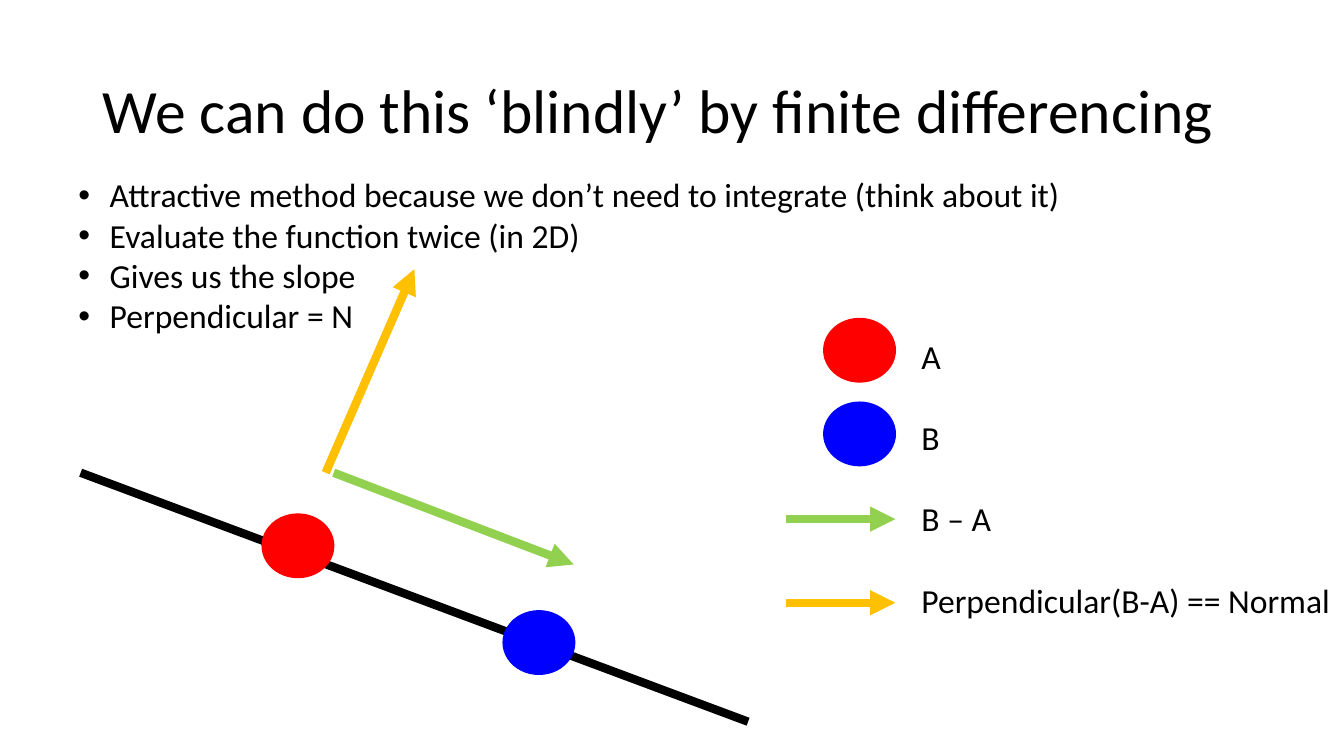
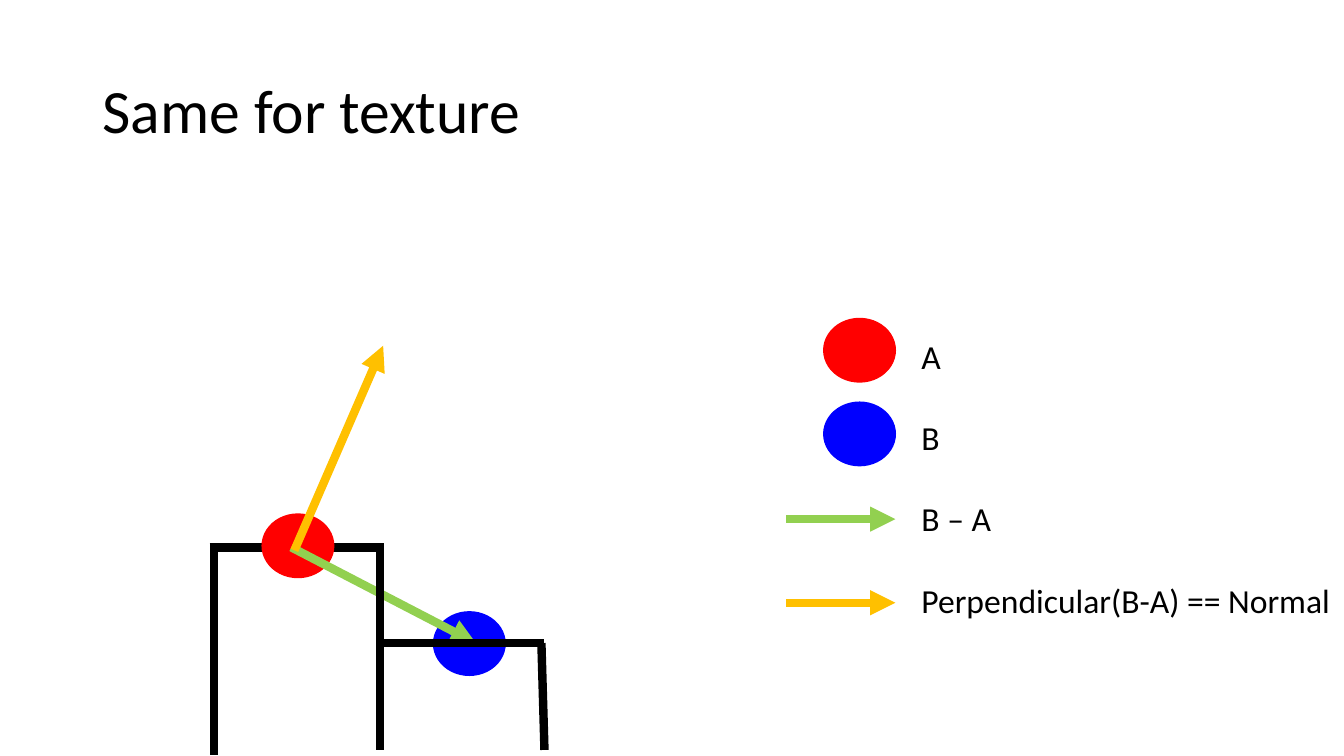
import pptx
import pptx.util
import pptx.dml.color
import pptx.enum.shapes
import pptx.enum.text
import pptx.oxml.ns
import lxml.etree

Inches = pptx.util.Inches
Pt = pptx.util.Pt
RGBColor = pptx.dml.color.RGBColor
qn = pptx.oxml.ns.qn

COLORS = {
    "ink": "000000",
    "a": "FF0000",
    "b": "0000FF",
    "difference": "92D050",
    "normal": "FFC000",
}
FONT = "Calibri"
BALL_W, BALL_H = 0.71, 0.63
ARROWS = ("difference", "normal")

LEGEND_TEXT = ["A", "B", "B – A", "Perpendicular(B-A) == Normal"]
LEGEND_MARKS = [
    ("a", 8.17, 3.16),
    ("b", 8.17, 3.99),
    ("difference", 7.8, 5.15, 8.88, 5.15),
    ("normal", 7.8, 5.98, 8.88, 5.98),
]

SLIDES = [
    {
        "title": "We can do this ‘blindly’ by finite differencing",
        "bullets": [
            "Attractive method because we don’t need to integrate (think about it)",
            "Evaluate the function twice (in 2D)",
            "Gives us the slope",
            "Perpendicular = N",
        ],
        "marks": [
            ("ink", 0.8, 4.69, 7.42, 7.16),
            ("a", 2.6, 5.1),
            ("b", 4.99, 6.06),
            ("difference", 3.31, 4.69, 5.69, 5.6),
            ("normal", 3.23, 4.69, 4.11, 2.67),
        ],
    },
    {
        "title": "Same for texture",
        "bullets": [],
        "marks": [
            ("ink", 2.08, 5.43, 3.75, 5.43),
            ("a", 2.6, 5.1),
            ("b", 4.3, 6.07),
            ("difference", 2.89, 5.43, 4.72, 6.38),
            ("normal", 2.92, 5.46, 3.8, 3.43),
            ("ink", 3.77, 7.44, 3.77, 5.39),
            ("ink", 3.73, 6.38, 5.4, 6.38),
            ("ink", 2.12, 7.49, 2.12, 5.43),
            ("ink", 5.4, 7.44, 5.37, 6.38),
        ],
    },
]


def add_text(s, box, lines, size=24, gap=0, bullet=False):
    tf = s.shapes.add_textbox(*[Inches(v) for v in box]).text_frame
    tf.word_wrap = False
    for i, line in enumerate(lines):
        p = tf.add_paragraph() if i else tf.paragraphs[0]
        if bullet:
            pPr = p._p.get_or_add_pPr()
            pPr.set("marL", str(Inches(0.31)))
            pPr.set("indent", str(-Inches(0.31)))
            lxml.etree.SubElement(pPr, qn("a:buFont")).set("typeface", "Arial")
            lxml.etree.SubElement(pPr, qn("a:buChar")).set("char", "•")
        if i and gap:
            p.space_before = Pt(gap)
        r = p.add_run()
        r.text = line
        r.font.name = FONT
        r.font.size = Pt(size)
        r.font.color.rgb = RGBColor.from_string(COLORS["ink"])
    return tf


def add_mark(s, name, x, y, *end):
    color = RGBColor.from_string(COLORS[name])
    if end:
        sp = s.shapes.add_connector(
            pptx.enum.shapes.MSO_CONNECTOR.STRAIGHT,
            *[Inches(v) for v in (x, y, *end)])
        sp.line.width = Pt(6)
    else:
        sp = s.shapes.add_shape(
            pptx.enum.shapes.MSO_SHAPE.OVAL,
            *[Inches(v) for v in (x, y, BALL_W, BALL_H)])
        sp.shadow.inherit = False
        sp.fill.solid()
        sp.fill.fore_color.rgb = color
        sp.line.width = Pt(1)
    sp.line.color.rgb = color
    if name in ARROWS:
        ln = sp.line._get_or_add_ln()
        lxml.etree.SubElement(ln, qn("a:tailEnd")).set("type", "triangle")
    if end:
        lxml.etree.SubElement(sp._element.spPr, qn("a:effectLst"))


prs = pptx.Presentation()
prs.slide_width = Inches(13.33)
prs.slide_height = Inches(7.5)

for content in SLIDES:
    s = prs.slides.add_slide(prs.slide_layouts[6])
    tf = add_text(s, (0.92, 0.4, 11.5, 1.45), [content["title"]], size=44)
    tf.word_wrap = True
    tf.vertical_anchor = pptx.enum.text.MSO_ANCHOR.MIDDLE
    tf.paragraphs[0].line_spacing = 0.9
    if content["bullets"]:
        add_text(s, (0.68, 1.68, 10.03, 1.72), content["bullets"], bullet=True)
    add_text(s, (9.04, 3.28, 4.29, 2.93), LEGEND_TEXT, gap=29.3)
    for mark in content["marks"] + LEGEND_MARKS:
        add_mark(s, *mark)

prs.save("out.pptx")
